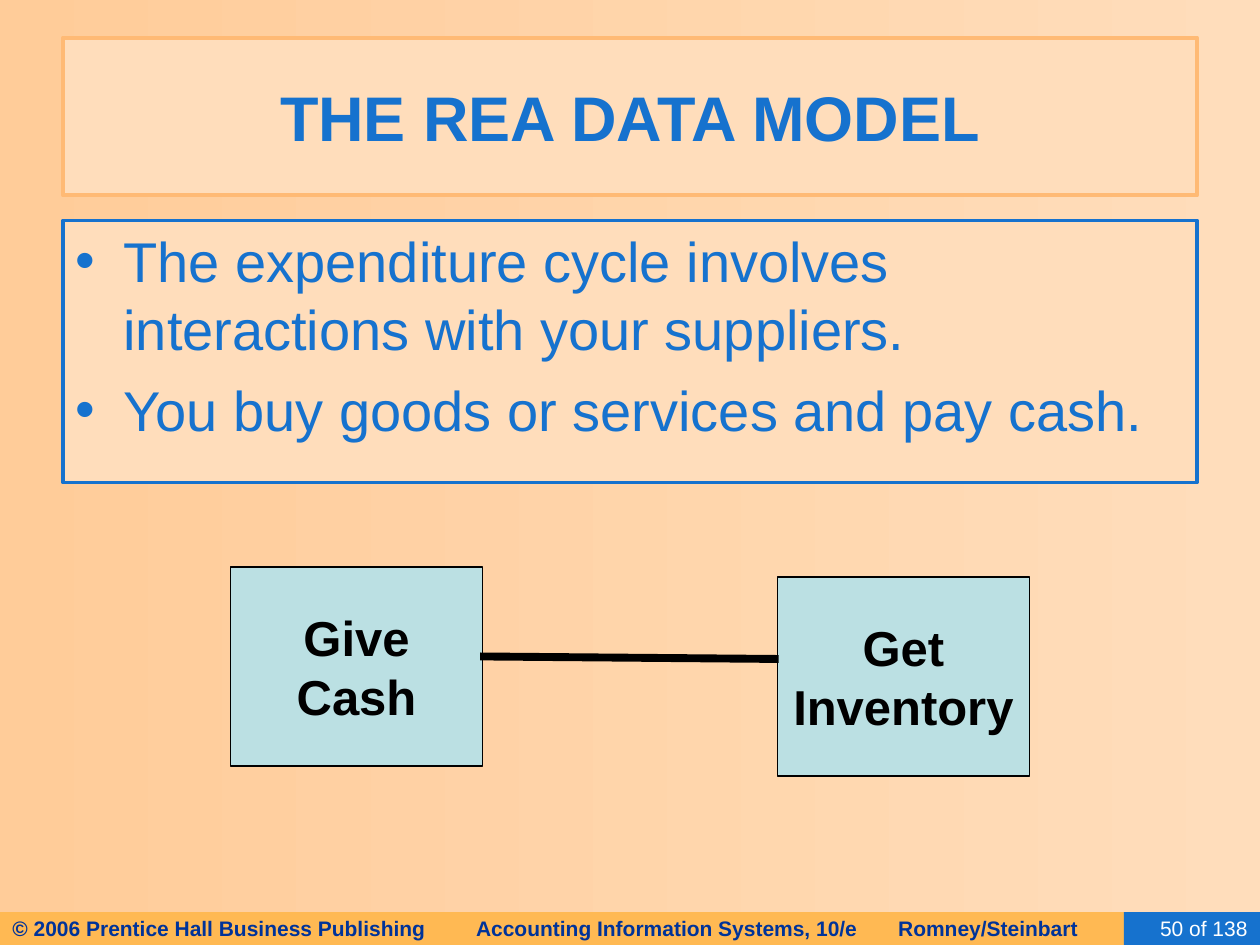
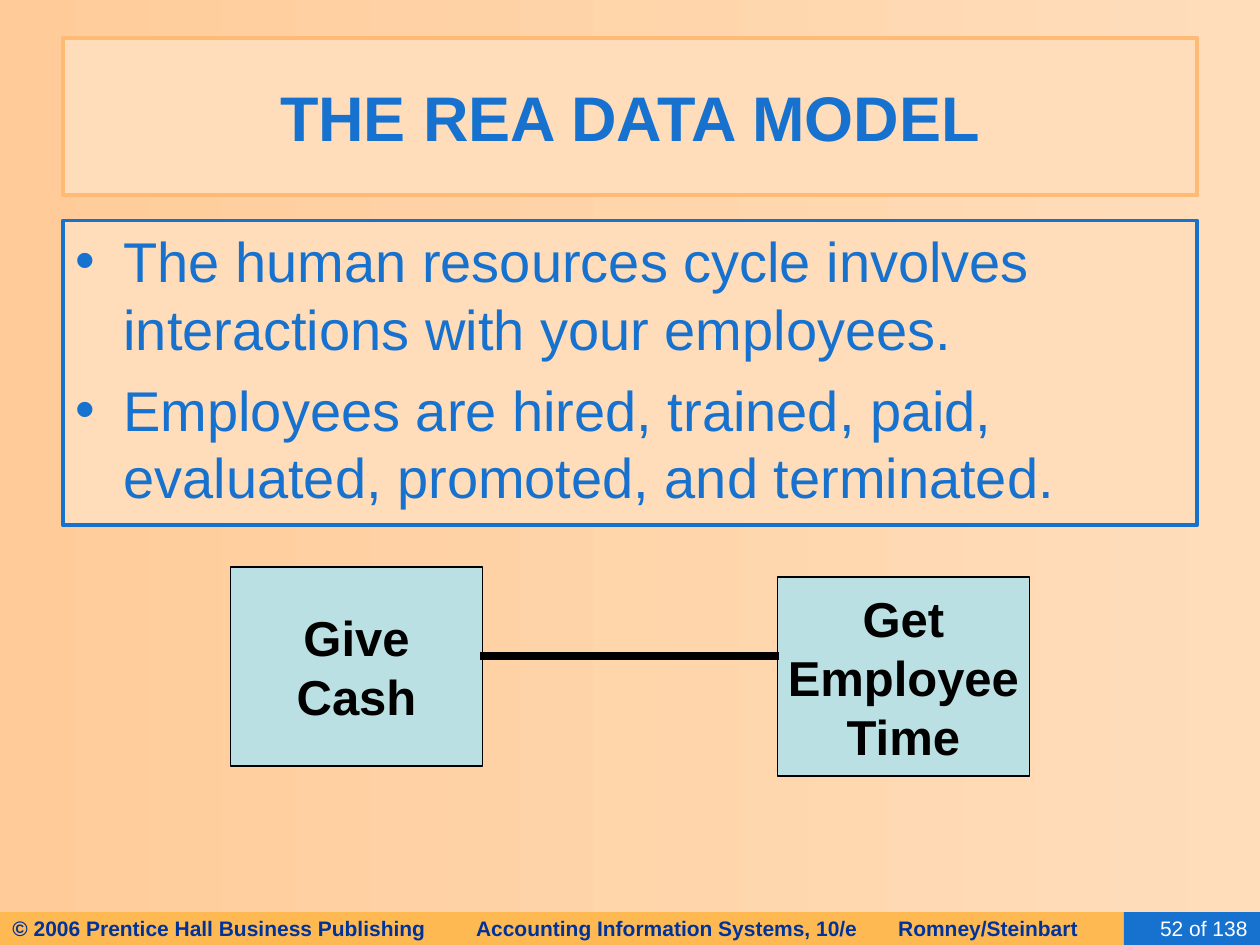
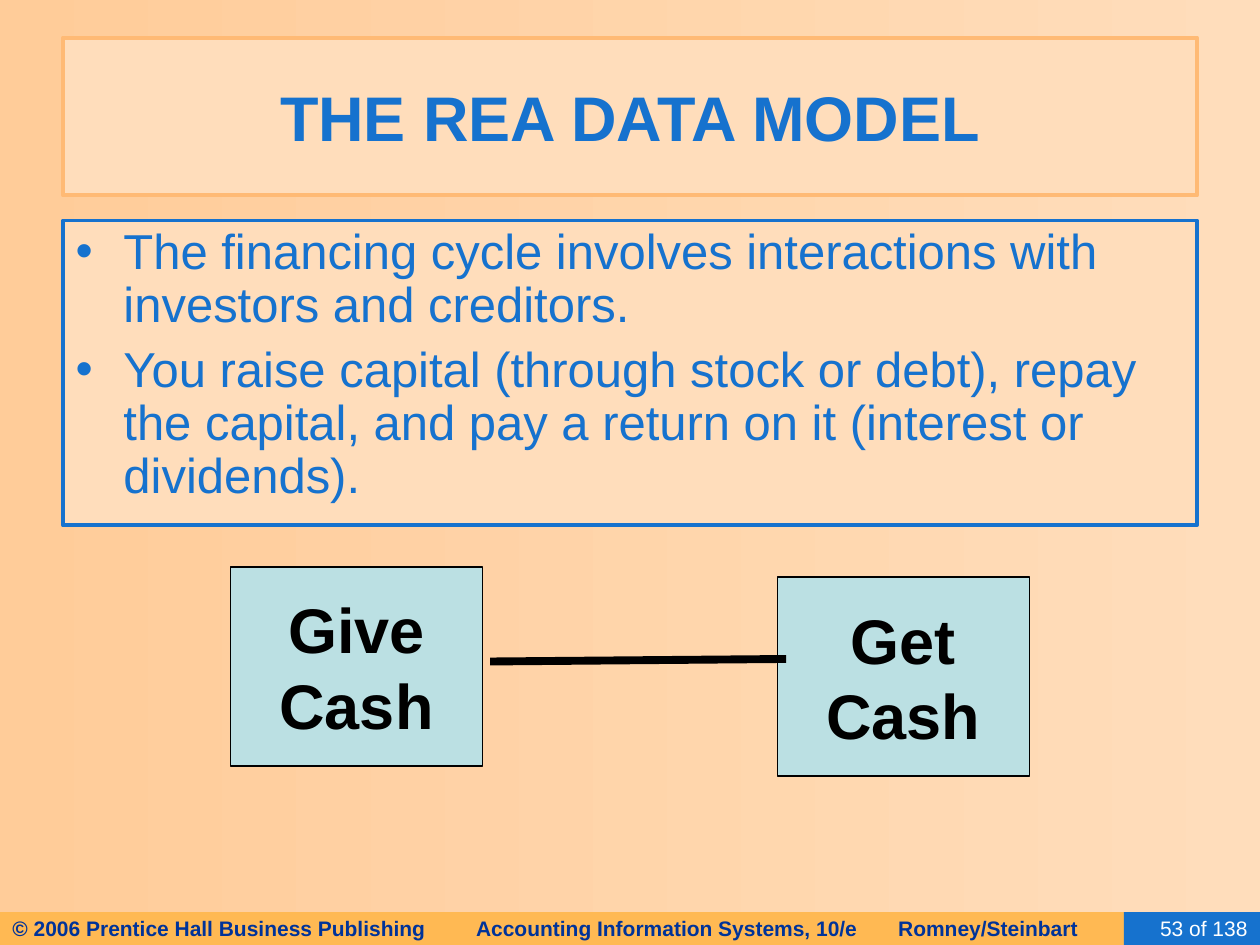
"""Build three slides on the REA data model and save them to out.pptx."""
import pptx
import pptx.dml.color
import pptx.enum.shapes
import pptx.enum.text
import pptx.oxml
import pptx.oxml.ns
import pptx.util

Inches = pptx.util.Inches
Pt = pptx.util.Pt
ALIGN = pptx.enum.text.PP_ALIGN
MIDDLE = pptx.enum.text.MSO_ANCHOR.MIDDLE
RECT = pptx.enum.shapes.MSO_SHAPE.RECTANGLE
LINE = pptx.enum.shapes.MSO_CONNECTOR.STRAIGHT
BLUE, PEACH, BLACK = "1672CE", "FFDDBB", "000000"
NOTICE = "© 2006 Prentice Hall Business Publishing\tAccounting Information Systems, 10/e\tRomney/Steinbart"


def paint(shape, place, fill, line=None, width=0):
    """Place a shape and set its fill and line."""
    shape.left, shape.top, shape.width, shape.height = map(Inches, place)
    shape.fill.solid()
    shape.fill.fore_color.rgb = pptx.dml.color.RGBColor.from_string(fill)
    if line:
        shape.line.color.rgb = pptx.dml.color.RGBColor.from_string(line)
        shape.line.width = Pt(width)
    else:
        shape.line.fill.background()


def write(shape, text, size, color, bold=False, align=ALIGN.LEFT):
    """Fill a shape with text in one style."""
    frame = shape.text_frame
    frame.text = text
    frame.word_wrap = True
    frame.auto_size = pptx.enum.text.MSO_AUTO_SIZE.NONE
    frame.vertical_anchor = MIDDLE
    for para in frame.paragraphs:
        para.alignment = align
        para.space_before = Pt(0)
        for run in para.runs:
            run.font.name = "Arial"
            run.font.size = Pt(size)
            run.font.bold = bold
            run.font.color.rgb = pptx.dml.color.RGBColor.from_string(color)


pages = [
    dict(number=50, height=2.08, size=32, gap=8, pitch=1.0, label=28,
         points=["The expenditure cycle involves interactions with your suppliers.",
                 "You buy goods or services and pay cash."],
         get="Get\nInventory", link=(6.18, 5.23, 3.81, 5.21)),
    dict(number=52, height=2.42, size=32, gap=8, pitch=1.0, label=28,
         points=["The human resources cycle involves interactions with your employees.",
                 "Employees are hired, trained, paid, evaluated, promoted, and terminated."],
         get="Get\nEmployee\nTime", link=(6.18, 5.21, 3.81, 5.21)),
    dict(number=53, height=2.42, size=28, gap=7, pitch=0.9, label=36,
         points=["The financing cycle involves interactions with investors and creditors.",
                 "You raise capital (through stock or debt), repay the capital, "
                 "and pay a return on it (interest or dividends)."],
         get="Get\nCash", link=(6.24, 5.23, 3.89, 5.25)),
]

deck = pptx.Presentation()
deck.slide_width, deck.slide_height = Inches(10), Inches(7.5)
back = deck.slide_master.background.fill
back.gradient()
back.gradient_angle = 180
for stop, color, spot in zip(back.gradient_stops, (PEACH, "FFCC99"), (0, 1)):
    stop.color.rgb = pptx.dml.color.RGBColor.from_string(color)
    stop.position = spot

for page in pages:
    slide = deck.slides.add_slide(deck.slide_layouts[1])
    shapes = slide.shapes

    title = shapes.title
    paint(title, (0.5, 0.3, 9, 1.25), PEACH, "FFBA75", 2.5)
    write(title, "THE REA DATA MODEL", 36, BLUE, True, ALIGN.CENTER)

    body = slide.placeholders[1]
    paint(body, (0.5, 1.75, 9, page["height"]), PEACH, BLUE, 2.25)
    write(body, "\n".join(page["points"]), page["size"], BLUE)
    body.text_frame.vertical_anchor = pptx.enum.text.MSO_ANCHOR.TOP
    for index, para in enumerate(body.text_frame.paragraphs):
        para.line_spacing = page["pitch"]
        para.space_before = Pt(page["gap"] if index else 0)
        props = para._p.get_or_add_pPr()
        props.set("marL", str(Inches(0.38)))
        props.set("indent", str(Inches(-0.38)))

    for text, left, top in (("Give\nCash", 1.83, 4.5), (page["get"], 6.17, 4.58)):
        box = shapes.add_shape(RECT, 0, 0, 0, 0)
        box.shadow.inherit = False
        paint(box, (left, top, 2, 1.58), "BBE0E3", BLACK, 0.75)
        write(box, text, page["label"], BLACK, True, ALIGN.CENTER)
        box.text_frame.word_wrap = False

    link = shapes.add_connector(LINE, *map(Inches, page["link"]))
    link.line.color.rgb = pptx.dml.color.RGBColor.from_string(BLACK)
    link.line.width = Pt(4.5)
    link._element.spPr.append(pptx.oxml.parse_xml(
        f'<a:effectLst {pptx.oxml.ns.nsdecls("a")}/>'))

    band = shapes.add_shape(RECT, 0, 0, 0, 0)
    band.shadow.inherit = False
    paint(band, (0, 7.24, 9.25, 0.26), "FFB953")
    write(band, NOTICE, 12, "003399", True)
    stops = "".join(f'<a:tab pos="{Inches(spot)}" algn="l"/>' for spot in (3.68, 7.03))
    band.text_frame.paragraphs[0]._p.get_or_add_pPr().append(pptx.oxml.parse_xml(
        f'<a:tabLst {pptx.oxml.ns.nsdecls("a")}>{stops}</a:tabLst>'))

    count = shapes.add_shape(RECT, 0, 0, 0, 0)
    count.shadow.inherit = False
    paint(count, (8.92, 7.24, 1.08, 0.26), BLUE)
    write(count, f"{page['number']} of 138", 12, "FFFFFF", align=ALIGN.RIGHT)

deck.save("out.pptx")
